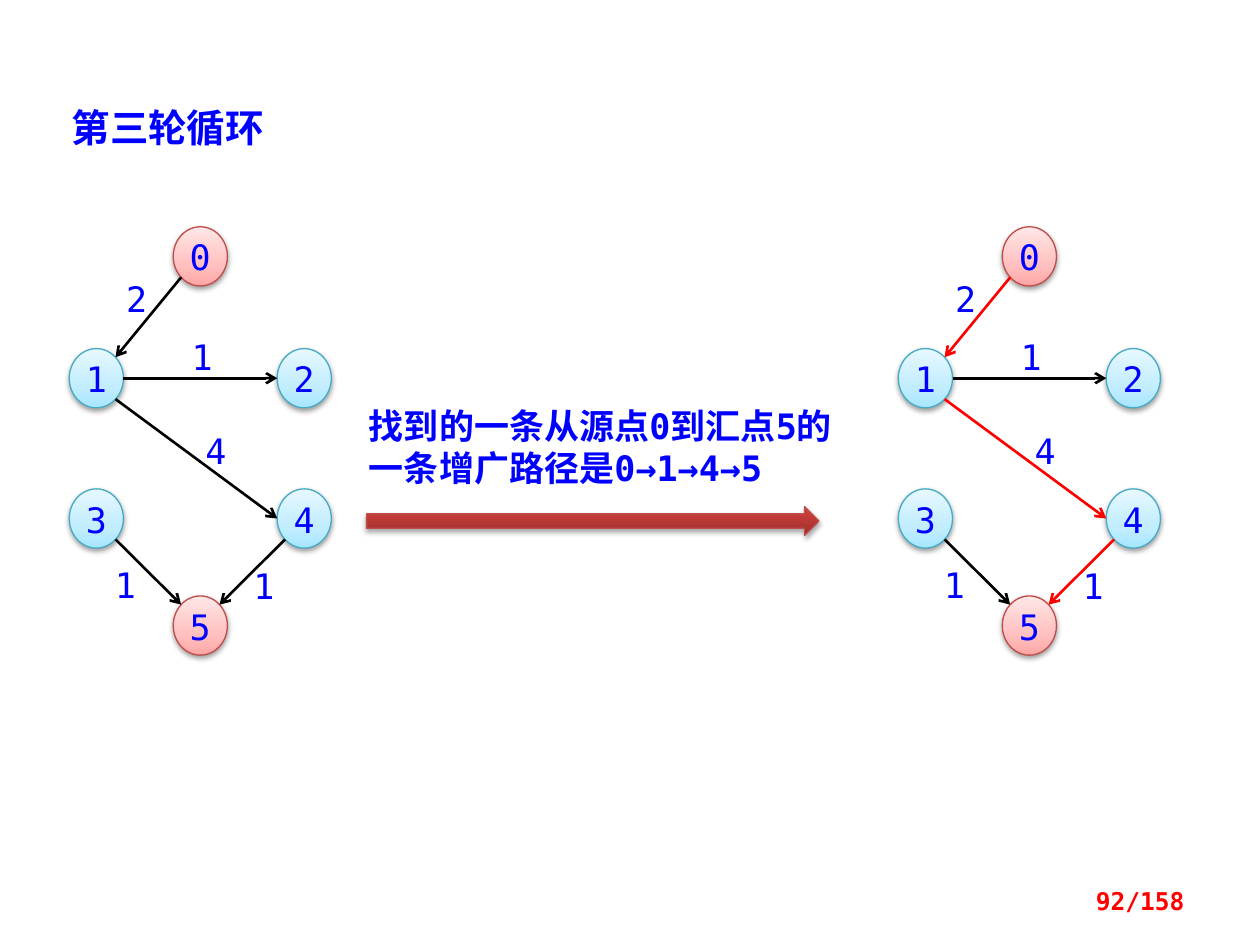
from math import cos, radians, sin, sqrt

from lxml import etree
from pptx import Presentation
from pptx.dml.color import RGBColor
from pptx.enum.shapes import MSO_CONNECTOR, MSO_SHAPE
from pptx.enum.text import MSO_ANCHOR, PP_ALIGN
from pptx.oxml import parse_xml
from pptx.oxml.ns import nsdecls, qn
from pptx.util import Inches, Pt

ELLIPSE, RECT, ARROW = MSO_SHAPE.OVAL, MSO_SHAPE.RECTANGLE, MSO_SHAPE.RIGHT_ARROW
LEFT, CENTER, RIGHT = PP_ALIGN.LEFT, PP_ALIGN.CENTER, PP_ALIGN.RIGHT
TOP, MIDDLE = MSO_ANCHOR.TOP, MSO_ANCHOR.MIDDLE
STRAIGHT = MSO_CONNECTOR.STRAIGHT

SLIDE_W, SLIDE_H = 10, 7.5
MONO, HAN = "DejaVu Sans Mono", "Noto Sans CJK SC"
COLORS = {"text": "0000FF", "paper": "FFFFFF", "edge": "000000", "path": "FF0000",
          "red_line": "BF4C48", "blue_line": "46AAC5"}
GRADIENTS = {  # position in percent and colour, from bottom to top
    "red": [(0, "FFA6A5"), (35, "FFC0BF"), (100, "FFE7E7")],
    "blue": [(0, "A7E6FF"), (35, "C1EDFF"), (100, "E7F8FF")],
    "arrow": [(0, "9C2F2D"), (80, "CB3E3A"), (100, "CE3B37")],
}

# Graph: node places are shares of the free travel, in percent
NODE_W, NODE_H = 0.43, 0.47
NODES = {"0": (50, 0, "red"), "1": (0, 33, "blue"), "2": (100, 33, "blue"),
         "3": (0, 71, "blue"), "4": (100, 71, "blue"), "5": (50, 100, "red")}
# Start, its angle, end, its angle, weight, centre of the weight in percent of the box
EDGES = [("0", 135, "1", -45, "2", 25.7, 16.8),
         ("1", 0, "2", 180, "1", 50.7, 30.3),
         ("1", 45, "4", 180, "4", 56, 52.1),
         ("3", 45, "5", -135, "1", 21.4, 83.5),
         ("4", 135, "5", -45, "1", 74.3, 83.8)]
LABEL_W, LABEL_H = 0.15, 0.32


def rgb(name):
    return RGBColor.from_string(COLORS[name])


def inches(*lengths):
    return [Inches(v) for v in lengths]


def write(shape, text, size=20, font=MONO, bold=False, color="text",
          align=CENTER, anchor=MIDDLE, insets=(0, 0, 0, 0), wrap=False):
    tf = shape.text_frame
    tf.word_wrap = wrap
    tf.vertical_anchor = anchor
    sides = ("margin_left", "margin_top", "margin_right", "margin_bottom")
    for side, value in zip(sides, insets):
        setattr(tf, side, Inches(value))
    p = tf.paragraphs[0]
    p.alignment = align
    r = p.add_run()
    r.text = text
    for key, value in {"size": Pt(size), "name": font, "bold": bold}.items():
        setattr(r.font, key, value)
    r.font.color.rgb = rgb(color)
    ea = etree.SubElement(r.font._element, qn("a:ea"))
    ea.set("typeface", HAN)


def add_text(slide, box, text, **fmt):
    s = slide.shapes.add_textbox(*inches(*box))
    write(s, text, insets=(0.1, 0.05, 0.1, 0.05), wrap=True, **fmt)


def add_glossy(shapes, kind, box, gradient, line, alpha, dist):
    """Shape with an upward gradient, a thin outline and a soft shadow."""
    s = shapes.add_shape(kind, *inches(*box))
    s.line.color.rgb = rgb(line)
    s.line.width = Pt(0.75)
    stops = "".join(f'<a:gs pos="{pos * 1000}"><a:srgbClr val="{color}"/></a:gs>'
                    for pos, color in GRADIENTS[gradient])
    sp_pr = s._element.spPr
    sp_pr.find(qn("a:prstGeom")).addnext(parse_xml(
        f'<a:gradFill rotWithShape="1" {nsdecls("a")}><a:gsLst>{stops}</a:gsLst>'
        '<a:lin ang="16200000" scaled="0"/></a:gradFill>'))
    sp_pr.append(parse_xml(
        f'<a:effectLst {nsdecls("a")}><a:outerShdw blurRad="{Pt(3.1)}" dist="{Pt(dist)}" '
        'dir="5400000" rotWithShape="0"><a:srgbClr val="000000">'
        f'<a:alpha val="{alpha * 1000}"/></a:srgbClr></a:outerShdw></a:effectLst>'))
    return s


def add_edge(shapes, start, end, color):
    c = shapes.add_connector(STRAIGHT, *inches(*start, *end))
    c.line.color.rgb = rgb(color)
    c.line.width = Pt(1.5)
    etree.SubElement(c.line._get_or_add_ln(), qn("a:tailEnd")).set("type", "arrow")
    etree.SubElement(c._element.spPr, qn("a:effectLst"))


def add_graph(slide, box, path=""):
    """Flow network in the box; edges between neighbours on the path are red."""
    x, y, w, h = box
    shapes = slide.shapes.add_group_shape().shapes

    # Edge weights
    for *_, weight, cx, cy in EDGES:
        place = (x + w * cx / 100 - LABEL_W / 2, y + h * cy / 100 - LABEL_H / 2)
        s = shapes.add_shape(RECT, *inches(*place, LABEL_W, LABEL_H))
        s.shadow.inherit = False
        s.fill.solid()
        s.fill.fore_color.rgb = rgb("paper")
        s.line.fill.background()
        write(s, weight)

    # Nodes
    corners = {}
    for name, (col, row, tint) in NODES.items():
        left = x + (w - NODE_W) * col / 100
        top = y + (h - NODE_H) * row / 100
        corners[name] = left, top
        s = add_glossy(shapes, ELLIPSE, (left, top, NODE_W, NODE_H),
                       tint, f"{tint}_line", 38, 1.6)
        write(s, name, insets=(0, 0.01, 0, 0))

    # Edges
    def rim(name, angle):
        left, top = corners[name]
        a = radians(angle)
        return left + NODE_W / 2 * (1 + cos(a)), top + NODE_H / 2 * (1 + sin(a))

    for a, a_angle, b, b_angle, *_ in EDGES:
        color = "path" if a + b in path else "edge"
        add_edge(shapes, rim(a, a_angle), rim(b, b_angle), color)


def add_step(slide, box):
    """Explanation above a block arrow."""
    x, y, w, h = box
    add_text(slide, (x, y, w, h * 0.71),
             "找到的一条从源点0到汇点5的一条增广路径是0→1→4→5",
             bold=True, align=LEFT, anchor=TOP)
    add_glossy(slide.shapes, ARROW, (x + 0.08, y + h * 0.79, w - 0.47, h * 0.21),
               "arrow", "red_line", 35, 1.8)


def main():
    prs = Presentation()
    prs.slide_width, prs.slide_height = inches(SLIDE_W, SLIDE_H)
    slide = prs.slides.add_slide(prs.slide_layouts[6])

    # Title
    add_text(slide, (0.47, 0.78, 1.88, 0.47), "第三轮循环", size=22, font=HAN,
             bold=True, align=LEFT, anchor=TOP)

    # Network before, step, network with the path
    graph_y, graph_w, graph_h = 1.8, 2.08, 3.4
    add_graph(slide, (0.55, graph_y, graph_w, graph_h))
    add_step(slide, (2.83, 3.16, 4.06, 1.09))
    add_graph(slide, (7.13, graph_y, graph_w, graph_h), path="0145")

    # Page number
    add_text(slide, (7.17, 6.95, 2.33, 0.4), "92/158", size=14, bold=True,
             color="path", align=RIGHT)
    prs.save("out.pptx")


if __name__ == "__main__":
    main()
